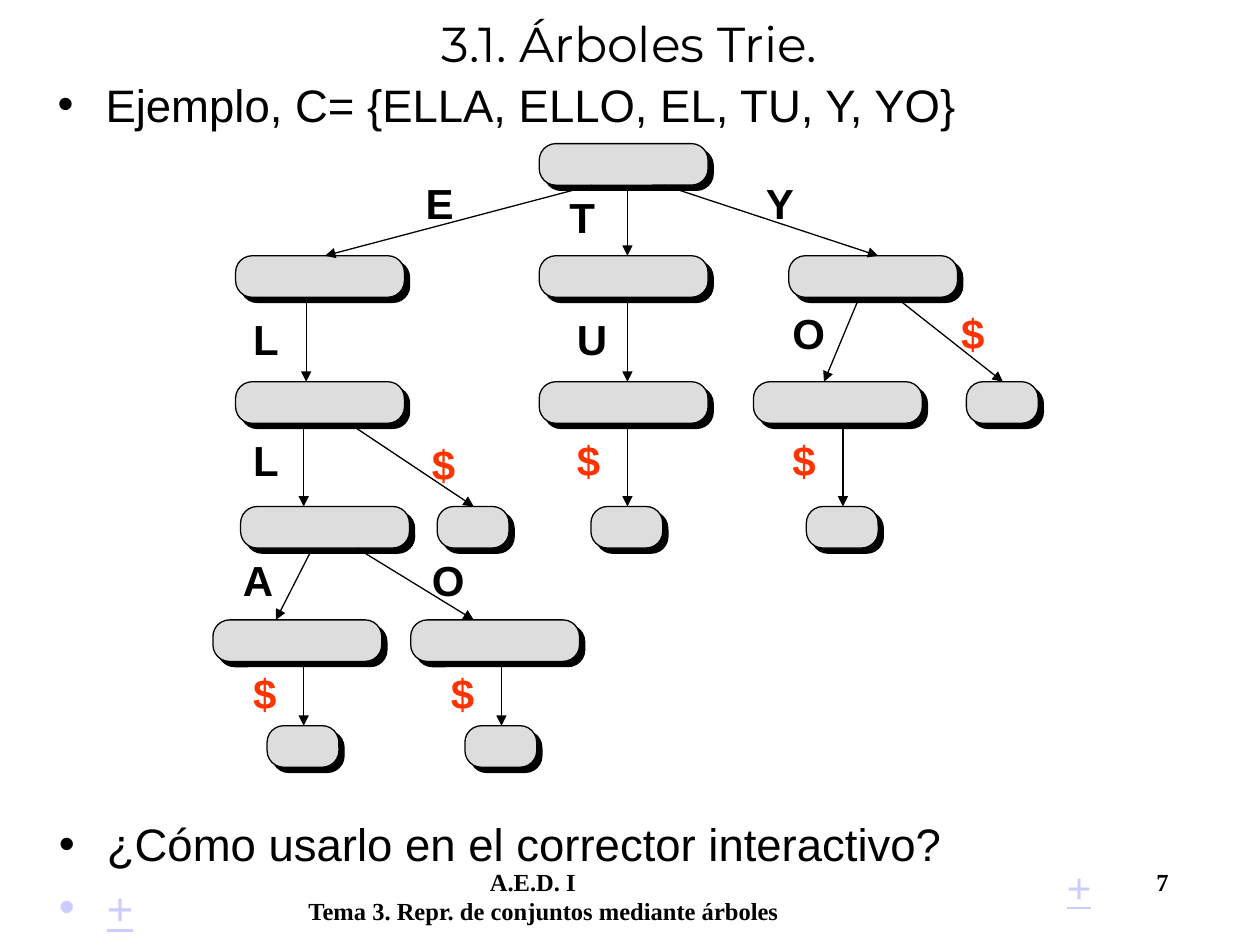
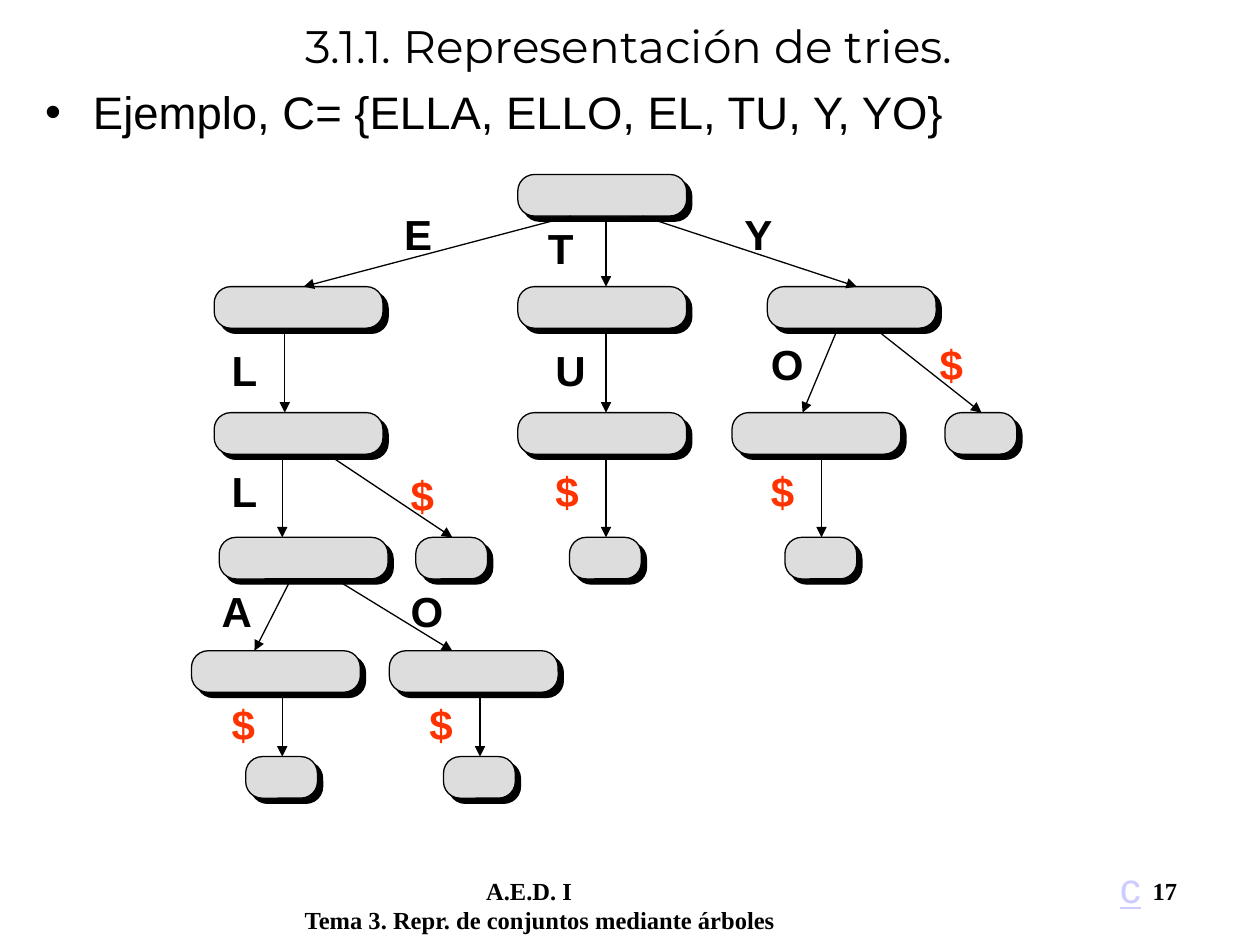
from dataclasses import dataclass

from pptx import Presentation
from pptx.dml.color import RGBColor as Rgb
from pptx.enum.shapes import MSO_CONNECTOR as Link, MSO_SHAPE as Form
from pptx.enum.text import MSO_ANCHOR as Anchor, PP_ALIGN as Align
from pptx.oxml import parse_xml
from pptx.oxml.ns import nsdecls, qn
from pptx.util import Inches, Pt


@dataclass(frozen=True)
class Theme:
    ink: str = "000000"
    node: str = "DDDDDD"
    mark: str = "FF3300"
    link: str = "CCCCFF"
    head: str = "Montserrat"
    body: str = "Arial"
    foot: str = "Times New Roman"
    text: float = 26
    key: float = 24
    small: float = 14
    gap: float = 5.2
    line: float = 0.75


COLS, ROWS = 100, 75
WIDE, SMALL, HIGH = 13.4, 5.7, 3.3
INDENT = 3.8
TABS = (14.4, 67.3)

LEVELS = [
    (11.4, [(42.8, WIDE)]),
    (20.3, [(18.7, WIDE), (42.8, WIDE), (62.6, WIDE)]),
    (30.3, [(18.7, WIDE), (42.8, WIDE), (59.8, WIDE), (76.7, SMALL)]),
    (40.2, [(19.1, WIDE), (34.7, SMALL), (46.9, SMALL), (64, SMALL)]),
    (49.2, [(16.9, WIDE), (32.6, WIDE)]),
    (57.6, [(21.2, SMALL), (36.9, SMALL)]),
]
EDGES = [
    (14.7, [(47, 25.8, "E", 32.8, 13.6), (49.8, 49.8, "T", 44.2, 14.7),
            (52.7, 69.7, "Y", 59.8, 13.6)]),
    (23.6, [(24.3, 24.3, "L", 19.1, 24.4), (49.8, 49.8, "U", 44.8, 24.4),
            (68.2, 65.4, "O", 61.9, 23.9), (71.1, 79.6, "$", 75.3, 23.9)]),
    (34, [(24.1, 24.1, "L", 19.1, 34), (28.3, 37.6, "$", 33.3, 34.3),
          (49.8, 49.8, "$", 44.8, 34), (66.9, 66.9, "$", 61.9, 34)]),
    (43.5, [(24.8, 21.9, "A", 18.3, 43.5), (28.3, 37.6, "O", 33.3, 43.5)]),
    (52.5, [(24.1, 24.1, "$", 19.1, 52.5), (39.8, 39.8, "$", 34.8, 52.5)]),
]


def unit(size):
    return Inches(size / 10)


def node_xml(tag, attrs="", inner=""):
    return parse_xml(f"<a:{tag} {nsdecls('a')} {attrs}>{inner}</a:{tag}>")


def write(frame, text, font, size, color, bold=False, under=False,
          align=None, before=0, bullet=False, tabs=()):
    para = frame.paragraphs[0]
    if para.runs:
        para = frame.add_paragraph()
    props = para._p.get_or_add_pPr()
    if bullet:
        props.set("marL", str(unit(INDENT)))
        props.set("indent", str(-unit(INDENT)))
        props.append(node_xml("buFont", f'typeface="{font}"'))
        props.append(node_xml("buChar", 'char="•"'))
    if tabs:
        stops = "".join(f'<a:tab pos="{unit(t)}" algn="l"/>' for t in tabs)
        props.append(node_xml("tabLst", inner=stops))
    para.space_before = Pt(before)
    if align is not None:
        para.alignment = align
    run = para.add_run()
    run.text = text
    style = run.font
    style.name, style.size = font, Pt(size)
    style.bold, style.underline = bold, under
    style.color.rgb = Rgb.from_string(color)


class Deck:
    def __init__(self, theme):
        self.theme = theme
        self.show = Presentation()
        self.show.slide_width = unit(COLS)
        self.show.slide_height = unit(ROWS)

    def page(self):
        self.slide = self.show.slides.add_slide(self.show.slide_layouts[6])
        self.shapes = self.slide.shapes

    def frame(self, x, y, w, h, wrap=True):
        box = self.shapes.add_textbox(unit(x), unit(y), unit(w), unit(h))
        box.text_frame.word_wrap = wrap
        return box.text_frame

    def title(self, text, size, h):
        frame = self.frame(3.3, 0, 93.3, h)
        frame.vertical_anchor = Anchor.MIDDLE
        write(frame, text, self.theme.head, size, self.theme.ink, align=Align.CENTER)

    def points(self, x, y, w, h, *items):
        frame = self.frame(x, y, w, h)
        for i, (text, color) in enumerate(items):
            write(frame, text, self.theme.body, self.theme.text, color, bullet=True,
                  under=color == self.theme.link,
                  before=self.theme.gap if i else 0)

    def footer(self, x, y, number):
        frame = self.frame(x, y, 74, 5)
        style = dict(font=self.theme.foot, size=self.theme.small,
                     color=self.theme.ink, bold=True)
        write(frame, f"\tA.E.D. I\t{number}", tabs=TABS, **style)
        write(frame, "Tema 3. Repr. de conjuntos mediante árboles", **style)

    def jump(self, text, x, w):
        write(self.frame(x, 67.9, w, 5, wrap=False), text, self.theme.body,
              self.theme.key, self.theme.link, under=True)

    def node(self, x, y, w):
        box = self.shapes.add_shape(Form.ROUNDED_RECTANGLE, unit(x), unit(y),
                                    unit(w), unit(HIGH))
        box.adjustments[0] = 0.4
        box.fill.solid()
        box.fill.fore_color.rgb = Rgb.from_string(self.theme.node)
        box.line.color.rgb = Rgb.from_string(self.theme.ink)
        box.line.width = Pt(self.theme.line)
        box.shadow.inherit = False
        box._element.spPr.find(qn("a:effectLst")).append(node_xml(
            "outerShdw", f'dist="{Pt(4.2)}" dir="2700000" algn="ctr" rotWithShape="0"',
            f'<a:srgbClr val="{self.theme.ink}"/>'))

    def arrow(self, x1, y1, x2, y2):
        line = self.shapes.add_connector(Link.STRAIGHT, unit(x1), unit(y1),
                                         unit(x2), unit(y2))
        line.line.color.rgb = Rgb.from_string(self.theme.ink)
        line.line.width = Pt(self.theme.line)
        line.line._get_or_add_ln().append(node_xml("tailEnd", 'type="triangle"'))
        line._element.spPr.append(node_xml("effectLst"))

    def label(self, text, x, y):
        color = self.theme.mark if text == "$" else self.theme.ink
        write(self.frame(x, y, 8.5, 4.5), text, self.theme.body, self.theme.key,
              color, bold=True)

    def trie(self, dx=0, dy=0):
        self.shapes = self.slide.shapes.add_group_shape().shapes
        for top, nodes in LEVELS:
            for x, w in nodes:
                self.node(x + dx, top + dy, w)
        for (start, edges), (end, _) in zip(EDGES, LEVELS[1:]):
            for x1, x2, text, x, y in edges:
                self.arrow(x1 + dx, start + dy, x2 + dx, end + dy)
                self.label(text, x + dx, y + dy)
        self.shapes = self.slide.shapes


def main():
    theme = Theme()
    deck = Deck(theme)
    words = ("Ejemplo, C= {ELLA, ELLO, EL, TU, Y, YO}", theme.ink)

    deck.page()
    deck.footer(23.5, 68.3, 7)
    deck.title("3.1. Árboles Trie.", 28, 6.8)
    deck.trie()
    deck.points(3.6, 5.6, 92.6, 8, words)
    deck.points(3.7, 64.3, 92.6, 6,
                ("¿Cómo usarlo en el corrector interactivo?", theme.ink),
                ("+", theme.link))
    deck.jump("+", 83.7, 4)

    deck.page()
    deck.footer(23.2, 69, 17)
    deck.title("3.1.1. Representación de tries.", 26, 7.2)
    deck.points(2.6, 6.2, 87.7, 7.5, words)
    deck.trie(-1.7, 2.45)
    deck.jump("c", 87.9, 3.7)

    deck.show.save("out.pptx")


if __name__ == "__main__":
    main()
